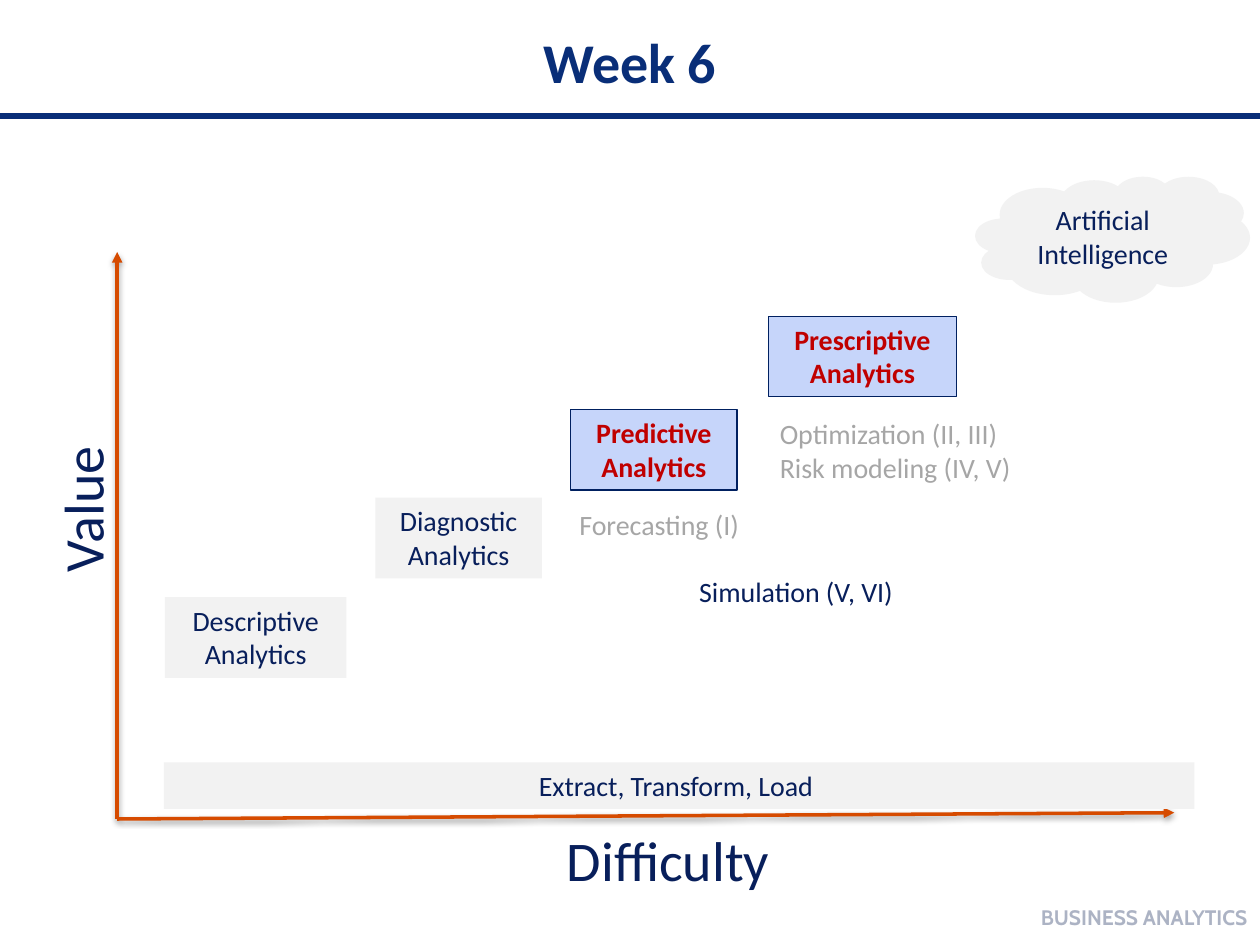
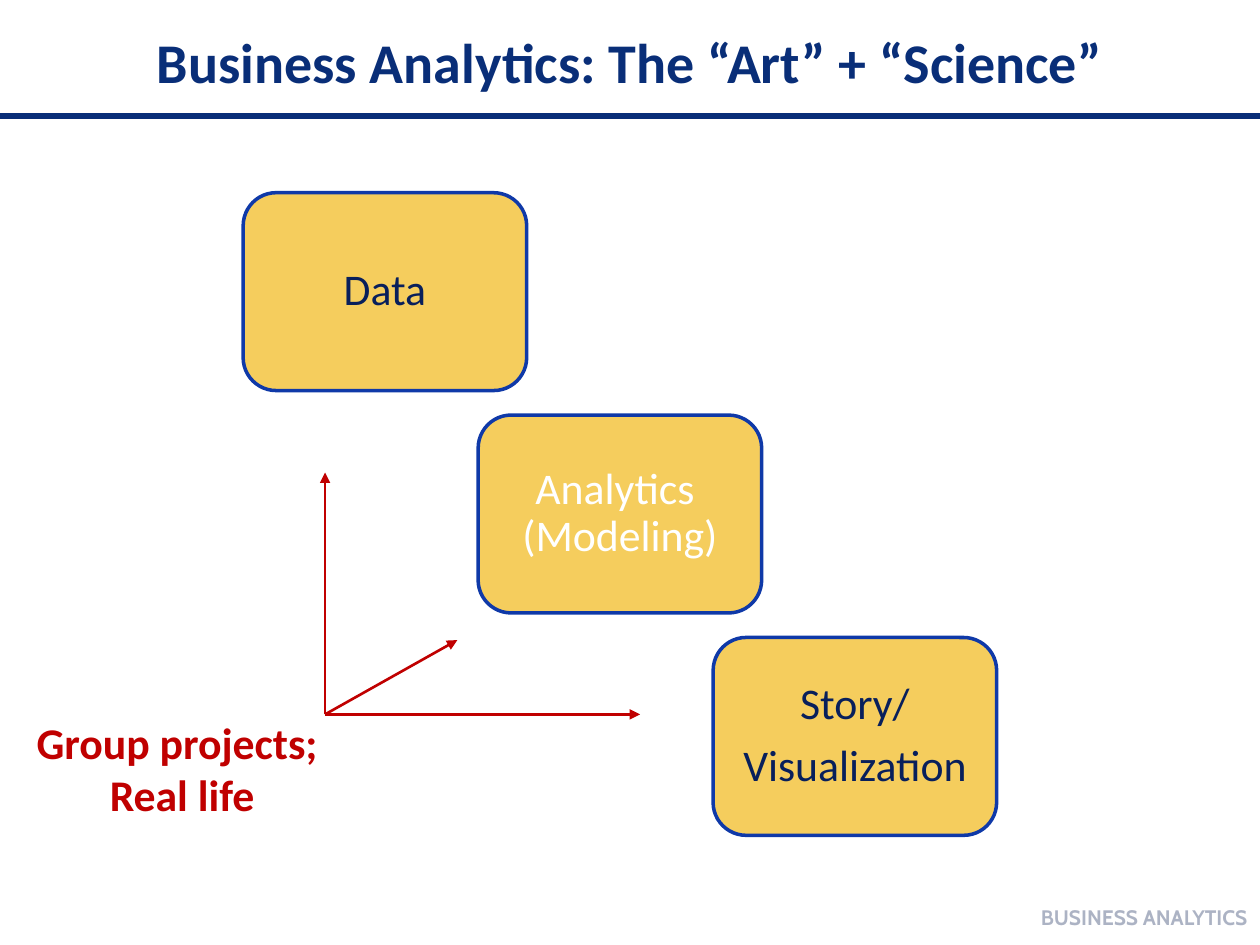
from lxml.etree import SubElement
from pptx import Presentation
from pptx.dml.color import RGBColor
from pptx.enum.shapes import MSO_CONNECTOR as Connector, MSO_SHAPE as Shape
from pptx.enum.text import MSO_ANCHOR as Anchor, PP_ALIGN as Align
from pptx.oxml.ns import qn
from pptx.util import Inches, Pt

COLUMNS, ROWS = 100, 75
BLUE, INK, NAVY, FOOTER = "092E78", "081F5B", "002060", "06194C"
RED, ORANGE, GREY = "C00000", "D64B00", "A6A6A6"
PALE, SKY, GOLD, EDGE = "F2F2F2", "C6D5FA", "F5CD5D", "0F39A8"


def rgb(value):
    return RGBColor.from_string(value)


class Deck:
    font = "Calibri"

    def __init__(self):
        self.prs = Presentation()
        self.prs.slide_width, self.prs.slide_height = Inches(10), Inches(7.5)
        self.slide = None

    def x(self, columns):
        return round(self.prs.slide_width * columns / COLUMNS)

    def y(self, rows):
        return round(self.prs.slide_height * rows / ROWS)

    def place(self, left, top, width, height):
        return self.x(left), self.y(top), self.x(width), self.y(height)

    def new_slide(self, title):
        self.slide = self.prs.slides.add_slide(self.prs.slide_layouts[6])
        self.line((0, 9.2), (COLUMNS, 9.2), BLUE, 3)
        footer = self.text((66.7, 70.8, 33.3, 4), ["BUSINESS ANALYTICS"], 12, FOOTER,
                           True, Align.RIGHT, Anchor.MIDDLE, "Cabin")
        for color in footer._element.iter(qn("a:srgbClr")):
            SubElement(color, qn("a:alpha"), val="33000")
        self.text((5, 1.7, 90, 6.3), [title], 32, BLUE, True, Align.CENTER, Anchor.MIDDLE)

    def set_text(self, frame, lines, size, color, bold=False, align=Align.LEFT,
                 anchor=Anchor.TOP, font=None, spacing=None, after=0):
        frame.word_wrap = True
        frame.vertical_anchor = anchor
        frame.text = "\n".join(lines)
        for paragraph in frame.paragraphs:
            paragraph.alignment = align
            paragraph.line_spacing = spacing
            paragraph.space_after = Pt(after)
            paragraph.font.name = font or self.font
            paragraph.font.size = Pt(size)
            paragraph.font.bold = bold
            paragraph.font.color.rgb = rgb(color)

    def text(self, area, *style, **options):
        box = self.slide.shapes.add_textbox(*self.place(*area))
        self.set_text(box.text_frame, *style, **options)
        return box

    def block(self, kind, area, fill, lines, size, color, edge=None, weight=0.75, **options):
        block = self.slide.shapes.add_shape(kind, *self.place(*area))
        block.shadow.inherit = False
        block.fill.solid()
        block.fill.fore_color.rgb = rgb(fill)
        if edge:
            block.line.color.rgb = rgb(edge)
            block.line.width = Pt(weight)
        else:
            block.line.fill.background()
        self.set_text(block.text_frame, lines, size, color, align=Align.CENTER, **options)
        return block

    def line(self, start, end, color, weight, arrow=False, shadow=False):
        line = self.slide.shapes.add_connector(
            Connector.STRAIGHT, *self.place(*start, *end))
        line.line.color.rgb = rgb(color)
        line.line.width = Pt(weight)
        properties = line._element.spPr
        if arrow:
            SubElement(properties.find(qn("a:ln")), qn("a:tailEnd"), type="triangle")
        effects = SubElement(properties, qn("a:effectLst"))
        if shadow:
            outer = SubElement(effects, qn("a:outerShdw"), blurRad=str(int(Pt(3.1))),
                               dist=str(int(Pt(1.6))), dir="5400000", rotWithShape="0")
            black = SubElement(outer, qn("a:srgbClr"), val="000000")
            SubElement(black, qn("a:alpha"), val="38000")


def add_maturity_slide(deck):
    deck.new_slide("Week 6")
    for axis_end in ((9.3, 20), (93.2, 64.5)):
        deck.line((9.3, 65), axis_end, ORANGE, 2, arrow=True, shadow=True)
    deck.text((-0.5, 36.2, 14, 6.4), ["Value"], 32, INK).rotation = 270
    deck.text((44, 65, 33.9, 6.4), ["Difficulty"], 32, INK)

    stages = [("Descriptive", 13.1, 47.4, 14.4, False), ("Diagnostic", 29.8, 39.5, 13.2, False),
              ("Predictive", 45.3, 32.5, 13.2, True), ("Prescriptive", 61, 25.1, 14.9, True)]
    for stage, left, top, width, current in stages:
        fill, color, edge = (SKY, RED, NAVY) if current else (PALE, INK, None)
        deck.block(Shape.RECTANGLE, (left, top, width, 6.4), fill, [f"{stage} Analytics"],
                   16, color, edge, bold=current)
    deck.block(Shape.RECTANGLE, (13, 60.5, 81.8, 3.7), PALE,
               ["Extract, Transform, Load "], 16, INK)
    deck.block(Shape.CLOUD, (77.4, 14, 21.8, 10), PALE, ["Artificial Intelligence"],
               16, INK, anchor=Anchor.MIDDLE)

    deck.text((45, 39.8, 19.4, 6.4), ["Forecasting (I)"], 16, GREY)
    deck.text((60.9, 32.6, 23.2, 11.8), ["Optimization (II, III)", "Risk modeling (IV, V)"],
              16, GREY)
    deck.text((54.5, 45.1, 23.2, 3.7), ["Simulation (V, VI)"], 16, INK)


def add_process_slide(deck):
    deck.new_slide("Business Analytics: The “Art” + “Science”")
    steps = [(["Data"], INK), (["Analytics \v(Modeling)"], "FFFFFF"),
             (["Story/", "Visualization"], INK)]
    for index, (lines, color) in enumerate(steps):
        area = (19.3 + 18.65 * index, 15.3 + 17.65 * index, 22.5, 15.7)
        step = deck.block(Shape.ROUNDED_RECTANGLE, area, GOLD, lines, 25, color, EDGE, 2,
                          anchor=Anchor.MIDDLE, spacing=0.9, after=8)
        frame = step.text_frame
        frame.margin_left = frame.margin_right = Inches(0.1)
        frame.margin_top = frame.margin_bottom = Inches(0.1)
    deck.text((0.5, 56.3, 27.9, 9.4), ["Group projects; ", "Real life"], 25, RED,
              True, Align.CENTER)
    for axis_end in ((36.3, 50.8), (25.8, 37.5), (50.8, 56.7)):
        deck.line((25.8, 56.7), axis_end, RED, 1.5, arrow=True)


def main():
    deck = Deck()
    add_maturity_slide(deck)
    add_process_slide(deck)
    deck.prs.save("out.pptx")


if __name__ == "__main__":
    main()
